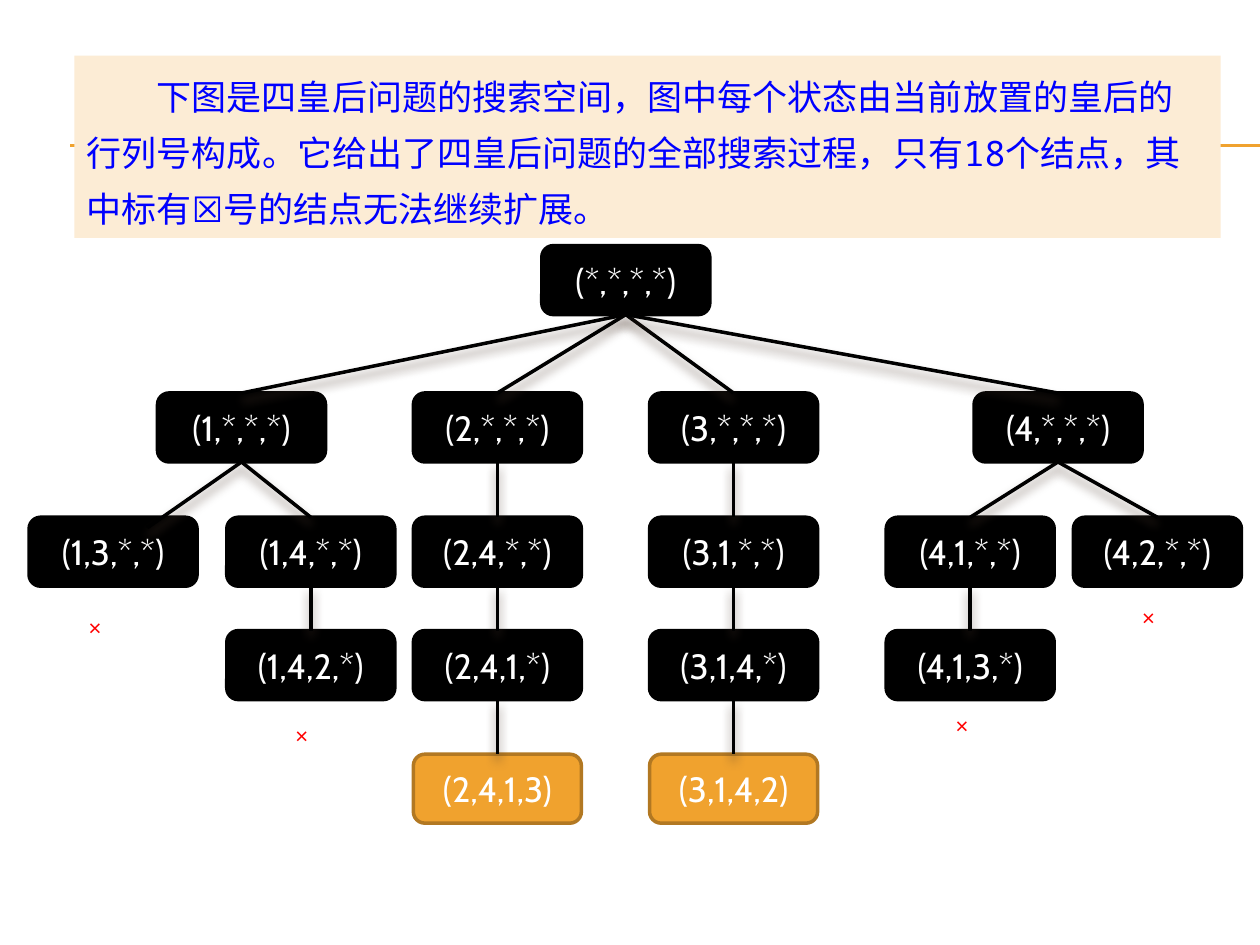
from pptx import Presentation
from pptx.dml.color import RGBColor
from pptx.enum.shapes import MSO_CONNECTOR as LINK, MSO_SHAPE as SHAPE
from pptx.enum.text import MSO_ANCHOR as ANCHOR, PP_ALIGN as ALIGN
from pptx.oxml import parse_xml
from pptx.oxml.ns import nsdecls
from pptx.util import Pt

INTRO = ("下图是四皇后问题的搜索空间，图中每个状态由当前放置的皇后的行列号构成。"
         "它给出了四皇后问题的全部搜索过程，只有18个结点，其中标有☒号的结点无法继续扩展。")

# Search tree: left edge of each state; its level is the number of placed queens
STATE_LEFTS = {
    "****": 309.6,
    "1***": 90, "13**": 16.6, "14**": 129.6, "142*": 129.6,
    "2***": 236.2, "24**": 236.2, "241*": 236.2, "2413": 236.2,
    "3***": 371.2, "31**": 371.2, "314*": 371.2, "3142": 371.2,
    "4***": 556.6, "41**": 506.4, "413*": 506.4, "42**": 613.4,
}
LEVEL_TOPS = [140.4, 224.6, 295.6, 360.4, 431]
NODE_W, NODE_H = 96, 39.4
LINK_ENDS = {"13**": (84.2, 301.6)}  # the one link that ends inside its node
DEAD_ENDS = [(50.4, 346.3), (168.5, 408.2), (545.8, 402.5), (652.3, 340.6)]

NODE_FONT = {"name": "Cabin", "size": Pt(20)}
CROSS_FONT = {"name": "Cabin", "size": Pt(18)}
INTRO_FONT = {"name": "Noto Sans Mono", "size": Pt(20)}
NO_MARGINS = dict.fromkeys(
    ("margin_left", "margin_top", "margin_right", "margin_bottom"), 0)

NO_SHADOW = f"<a:effectLst {nsdecls('a')}/>"
SOFT_SHADOW = (
    f'<a:effectLst {nsdecls("a")}>'
    '<a:outerShdw blurRad="76200" dist="50800" dir="5400000" rotWithShape="0">'
    '<a:srgbClr val="4E3B30"><a:alpha val="60000"/></a:srgbClr>'
    '</a:outerShdw></a:effectLst>')


def color(hex_code):
    return RGBColor.from_string(hex_code)


def apply(target, formats):
    for attribute, value in formats.items():
        setattr(target, attribute, value)


def write(frame, text, font, hex_code):
    paragraph = frame.paragraphs[0]
    run = paragraph.add_run()
    run.text = text
    apply(run.font, font)
    run.font.color.rgb = color(hex_code)
    return paragraph


def add_panel(shapes, kind, box, fill, outline=None):
    panel = shapes.add_shape(kind, *map(Pt, box))
    panel.shadow.inherit = False
    panel.fill.solid()
    panel.fill.fore_color.rgb = color(fill)
    if outline:
        panel.line.color.rgb = color(outline)
        panel.line.width = Pt(2)
    else:
        panel.line.fill.background()
    return panel


def add_link(shapes, start, end, hex_code, width, effects):
    link = shapes.add_connector(LINK.STRAIGHT, *map(Pt, (*start, *end)))
    link.line.color.rgb = color(hex_code)
    link.line.width = Pt(width)
    link._element.spPr.append(parse_xml(effects))


def add_rules(shapes, left, top, right, gap):
    for y in (top, top + gap):
        add_link(shapes, (left, y), (right, y), "F0A22E", 0.75, NO_SHADOW)


def add_intro(shapes, box):
    intro = add_panel(shapes, SHAPE.RECTANGLE, box, "FCECD5")
    apply(intro.text_frame, {"word_wrap": True, "vertical_anchor": ANCHOR.TOP})
    paragraph = write(intro.text_frame, INTRO, INTRO_FONT, "0000FF")
    apply(paragraph, {"alignment": ALIGN.LEFT, "line_spacing": Pt(32)})
    # First line indented by two characters
    properties = paragraph._p.get_or_add_pPr()
    properties.set("marL", "0")
    properties.set("indent", str(Pt(40)))


def add_node(shapes, state, box):
    solved = "*" not in state
    fill, outline = ("F0A22E", "B27822") if solved else ("000000", "000000")
    node = add_panel(shapes, SHAPE.ROUNDED_RECTANGLE, box, fill, outline)
    apply(node.text_frame, {"word_wrap": True, "vertical_anchor": ANCHOR.MIDDLE})
    label = write(node.text_frame, f"({','.join(state)})", NODE_FONT, "FFFFFF")
    label.alignment = ALIGN.CENTER


def add_cross(shapes, box):
    cross = shapes.add_textbox(*map(Pt, box))
    apply(cross.text_frame, {"word_wrap": True, **NO_MARGINS})
    write(cross.text_frame, "×", CROSS_FONT, "FF0000")


def add_tree(shapes):
    boxes = {}
    for state, left in STATE_LEFTS.items():
        level = 4 - state.count("*")
        boxes[state] = (left, LEVEL_TOPS[level], NODE_W, NODE_H)
        add_node(shapes, state, boxes[state])

    for left, top in DEAD_ENDS:
        add_cross(shapes, (left, top, 22.3, 28.8))

    # A parent is the same state without its last queen
    for state, (left, top, width, _) in boxes.items():
        placed = state.rstrip("*")
        if not placed:
            continue
        parent = boxes[placed[:-1].ljust(4, "*")]
        start = (parent[0] + parent[2] / 2, parent[1] + parent[3])
        end = LINK_ENDS.get(state, (left + width / 2, top))
        add_link(shapes, start, end, "000000", 2, SOFT_SHADOW)


def main():
    deck = Presentation()
    apply(deck, {"slide_width": Pt(720), "slide_height": Pt(540)})
    slide = deck.slides.add_slide(deck.slide_layouts[6])
    add_rules(slide.shapes, left=40.3, top=82.8, right=720, gap=0.7)
    add_intro(slide.shapes, (42.5, 31.8, 655, 104.2))
    add_tree(slide.shapes.add_group_shape().shapes)
    deck.save("out.pptx")


if __name__ == "__main__":
    main()
